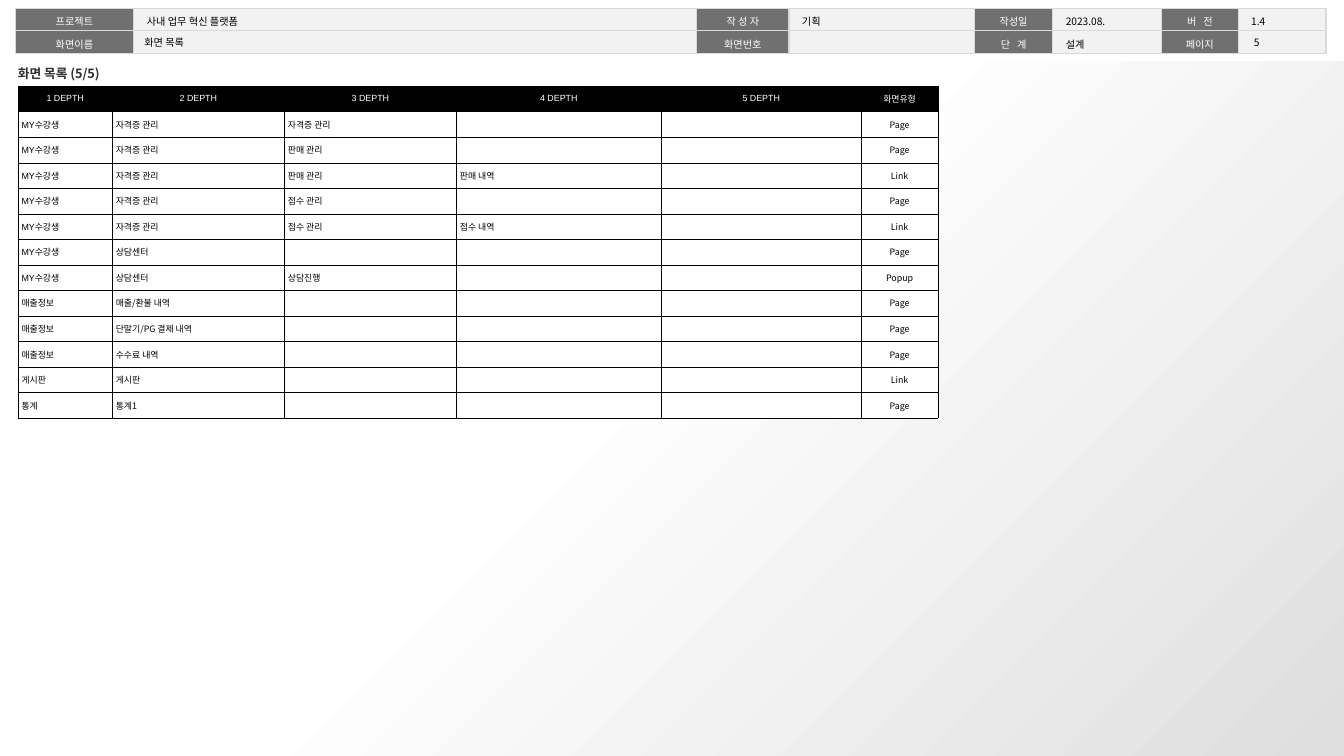
import dataclasses
import typing

import lxml.etree
import pptx
import pptx.dml.color
import pptx.enum.shapes
import pptx.enum.text
import pptx.oxml.ns
import pptx.util

Cm = pptx.util.Cm
Pt = pptx.util.Pt
qn = pptx.oxml.ns.qn
Align = pptx.enum.text.PP_ALIGN
Anchor = pptx.enum.text.MSO_ANCHOR


@dataclasses.dataclass(frozen=True)
class Theme:
    """Colours, fonts and type sizes of the slide."""
    korean: str = "Noto Sans CJK KR"
    latin: str = "Arial"
    white: str = "FFFFFF"
    black: str = "000000"
    heading: str = "2E2E2E"
    label_fill: str = "707070"
    value_fill: str = "F2F2F2"
    header_line: str = "D9D9D9"
    backdrop_end: str = "DEDEDE"
    header_size: float = 8
    heading_size: float = 10
    list_size: float = 7


THEME = Theme()


@dataclasses.dataclass(frozen=True)
class TextStyle:
    """Type and alignment of one piece of text."""
    size: float
    colour: str = THEME.black
    font: str = THEME.korean
    bold: bool = False
    align: Align = Align.LEFT
    line_spacing: float = 1.0
    tracking: int = 0


@dataclasses.dataclass(frozen=True)
class Cell:
    """Text, style and fill of one table cell."""
    text: str
    style: TextStyle
    fill: str


@dataclasses.dataclass(frozen=True)
class Grid:
    """Place, measures and look of one table in centimetres and points."""
    left: float
    top: float
    columns: tuple[float, ...]
    row_height: float
    line_colour: str
    line_width: float
    cell_format: dict[str, typing.Any]


@dataclasses.dataclass(frozen=True)
class Label:
    """Free text with its box in centimetres."""
    text: str
    box: tuple[float, float, float, float]
    style: TextStyle
    frame_format: dict[str, typing.Any]


LABEL = TextStyle(THEME.header_size, THEME.white, align=Align.CENTER, line_spacing=1.05)
SPREAD_LABEL = dataclasses.replace(LABEL, tracking=180)
VALUE = TextStyle(THEME.header_size, line_spacing=1.05)
PLAIN = TextStyle(THEME.header_size)
HEADING = TextStyle(THEME.heading_size, THEME.heading, bold=True, line_spacing=1.5)
DEPTH_TITLE = TextStyle(THEME.list_size, THEME.white, THEME.latin, align=Align.CENTER)
FIRST_DEPTH = TextStyle(THEME.list_size, font=THEME.latin)
DEPTH = TextStyle(THEME.list_size)
SCREEN_TYPE = TextStyle(THEME.list_size, align=Align.CENTER)

HEADER_GRID = Grid(
    0.42, 0.24, (3.3, 15.64, 2.56, 5.15, 2.18, 3.02, 2.13, 2.44), 0.62,
    THEME.header_line, 1,
    {"margin_left": Cm(0.36), "margin_right": Cm(0.36), "margin_top": Cm(0.13),
     "margin_bottom": Cm(0), "vertical_anchor": Anchor.TOP})
LIST_GRID = Grid(
    0.5, 2.39, (2.62, 4.78, 4.78, 5.69, 5.56, 2.13), 0.71,
    THEME.black, 0.25,
    {"margin_left": Cm(0.1), "margin_right": Cm(0.1), "margin_top": Cm(0.1),
     "margin_bottom": Cm(0.1), "vertical_anchor": Anchor.MIDDLE})

SPREAD_WORDS = ("버 전", "단 계")
HEADER_ROWS = (
    ("프로젝트", "사내 업무 혁신 플랫폼", "작 성 자", "기획", "작성일", "2023.08.", "버 전", "1.4"),
    ("화면이름", "", "화면번호", "", "단 계", "설계", "페이지", ""),
)
DEPTH_TITLES = ("1 DEPTH", "2 DEPTH", "3 DEPTH", "4 DEPTH", "5 DEPTH", "화면유형")
SCREENS = (
    ("MY수강생", "자격증 관리", "자격증 관리", "", "", "Page"),
    ("MY수강생", "자격증 관리", "판매 관리", "", "", "Page"),
    ("MY수강생", "자격증 관리", "판매 관리", "판매 내역", "", "Link"),
    ("MY수강생", "자격증 관리", "접수 관리", "", "", "Page"),
    ("MY수강생", "자격증 관리", "접수 관리", "접수 내역", "", "Link"),
    ("MY수강생", "상담센터", "", "", "", "Page"),
    ("MY수강생", "상담센터", "상담진행", "", "", "Popup"),
    ("매출정보", "매출/환불 내역", "", "", "", "Page"),
    ("매출정보", "단말기/PG 결제 내역", "", "", "", "Page"),
    ("매출정보", "수수료 내역", "", "", "", "Page"),
    ("게시판", "게시판", "", "", "", "Link"),
    ("통계", "통계1", "", "", "", "Page"),
)
LABELS = (
    Label("5", (34.59, 0.97, 1.83, 0.41), PLAIN,
          {"vertical_anchor": Anchor.MIDDLE, "word_wrap": True}),
    Label("화면 목록", (3.73, 0.97, 13.77, 0.41), PLAIN,
          {"vertical_anchor": Anchor.MIDDLE, "word_wrap": True,
           "margin_left": Cm(0.28), "margin_right": Cm(0.28)}),
    Label("화면 목록 (5/5)", (0.5, 1.5, 2.49, 0.89), HEADING,
          {"word_wrap": False, "margin_left": Cm(0), "margin_right": Cm(0)}),
)


def rgb(colour: str) -> pptx.dml.color.RGBColor:
    """Turn a hex string into a colour."""
    return pptx.dml.color.RGBColor.from_string(colour)


def apply_format(target: typing.Any, values: dict[str, typing.Any]) -> None:
    """Set each named attribute on the target."""
    for name, value in values.items():
        setattr(target, name, value)


def write(paragraph: typing.Any, text: str, style: TextStyle) -> None:
    """Write styled text, or size the empty line of a blank cell."""
    apply_format(paragraph, {"alignment": style.align, "line_spacing": style.line_spacing})
    if not text:
        lxml.etree.SubElement(paragraph._p, qn("a:endParaRPr"), sz=str(int(style.size * 100)))
        return
    run = paragraph.add_run()
    run.text = text
    apply_format(run.font, {"size": Pt(style.size), "bold": style.bold, "name": style.font})
    run.font.color.rgb = rgb(style.colour)
    properties = run._r.get_or_add_rPr()
    lxml.etree.SubElement(properties, qn("a:ea"), typeface=THEME.korean)
    if style.tracking:
        properties.set("spc", str(style.tracking))


def draw_borders(cell: typing.Any, grid: Grid) -> None:
    """Draw the four edges of a cell."""
    properties = cell._tc.get_or_add_tcPr()
    for edge in ("lnL", "lnR", "lnT", "lnB"):
        line = lxml.etree.SubElement(properties, qn(f"a:{edge}"), w=str(int(Pt(grid.line_width))))
        fill = lxml.etree.SubElement(line, qn("a:solidFill"))
        lxml.etree.SubElement(fill, qn("a:srgbClr"), val=grid.line_colour)


def draw_table(slide: typing.Any, grid: Grid, rows: list[list[Cell]]) -> None:
    """Draw a table from its grid and cells."""
    table = slide.shapes.add_table(
        len(rows), len(grid.columns), Cm(grid.left), Cm(grid.top),
        Cm(sum(grid.columns)), Cm(grid.row_height * len(rows))).table
    apply_format(table, {"first_row": False, "horz_banding": False})
    for column, width in zip(table.columns, grid.columns):
        column.width = Cm(width)
    for table_row, row in zip(table.rows, rows):
        table_row.height = Cm(grid.row_height)
        for cell, content in zip(table_row.cells, row):
            apply_format(cell, grid.cell_format)
            draw_borders(cell, grid)
            cell.fill.solid()
            cell.fill.fore_color.rgb = rgb(content.fill)
            write(cell.text_frame.paragraphs[0], content.text, content.style)


def draw_backdrop(slide: typing.Any) -> None:
    """Draw the diagonal grey gradient below the header."""
    backdrop = slide.shapes.add_shape(
        pptx.enum.shapes.MSO_SHAPE.RECTANGLE, Cm(0), Cm(1.7), Cm(37.34), Cm(19.31))
    backdrop.shadow.inherit = False
    backdrop.line.fill.background()
    backdrop.fill.gradient()
    backdrop.fill.gradient_angle = 315
    stops = ((0.45, THEME.white), (1.0, THEME.backdrop_end))
    for stop, (position, colour) in zip(backdrop.fill.gradient_stops, stops):
        stop.position = position
        stop.color.rgb = rgb(colour)


def draw_label(slide: typing.Any, label: Label) -> None:
    """Draw one free text."""
    frame = slide.shapes.add_textbox(*map(Cm, label.box)).text_frame
    apply_format(frame, label.frame_format)
    write(frame.paragraphs[0], label.text, label.style)


def header_cell(index: int, text: str) -> Cell:
    """Alternate label and value cells."""
    if index % 2:
        return Cell(text, VALUE, THEME.value_fill)
    return Cell(text, SPREAD_LABEL if text in SPREAD_WORDS else LABEL, THEME.label_fill)


def main() -> None:
    """Build the screen list slide."""
    deck = pptx.Presentation()
    apply_format(deck, {"slide_width": Cm(37.34), "slide_height": Cm(21.01)})
    slide = deck.slides.add_slide(deck.slide_layouts[6])
    draw_table(slide, HEADER_GRID,
               [[header_cell(i, text) for i, text in enumerate(row)] for row in HEADER_ROWS])
    draw_backdrop(slide)
    for label in LABELS:
        draw_label(slide, label)
    styles = (FIRST_DEPTH, DEPTH, DEPTH, DEPTH, DEPTH, SCREEN_TYPE)
    titles = [Cell(text, DEPTH_TITLE, THEME.black) for text in DEPTH_TITLES]
    screens = [[Cell(text, style, THEME.white) for text, style in zip(row, styles)]
               for row in SCREENS]
    draw_table(slide, LIST_GRID, [titles, *screens])
    deck.save("out.pptx")


if __name__ == "__main__":
    main()
